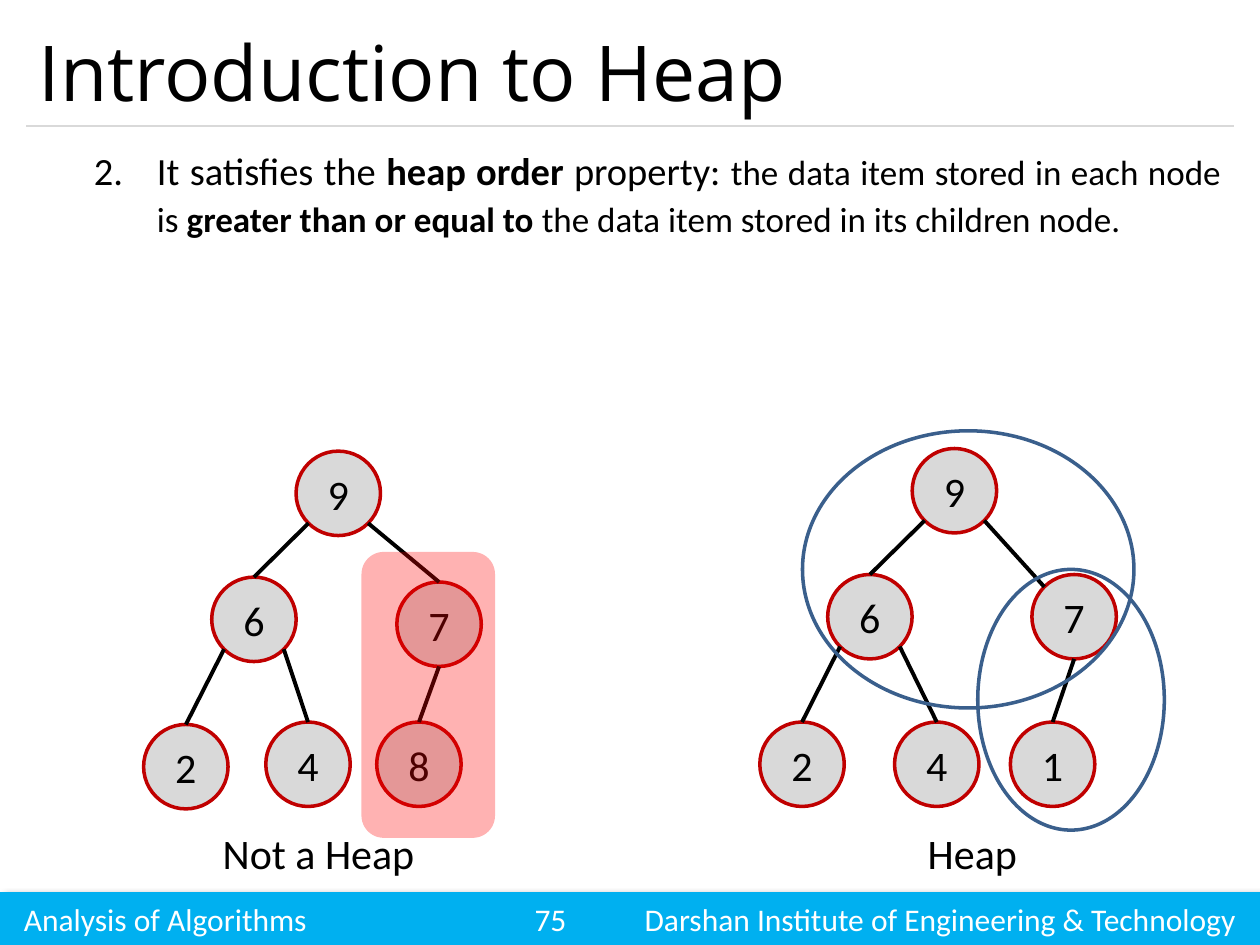
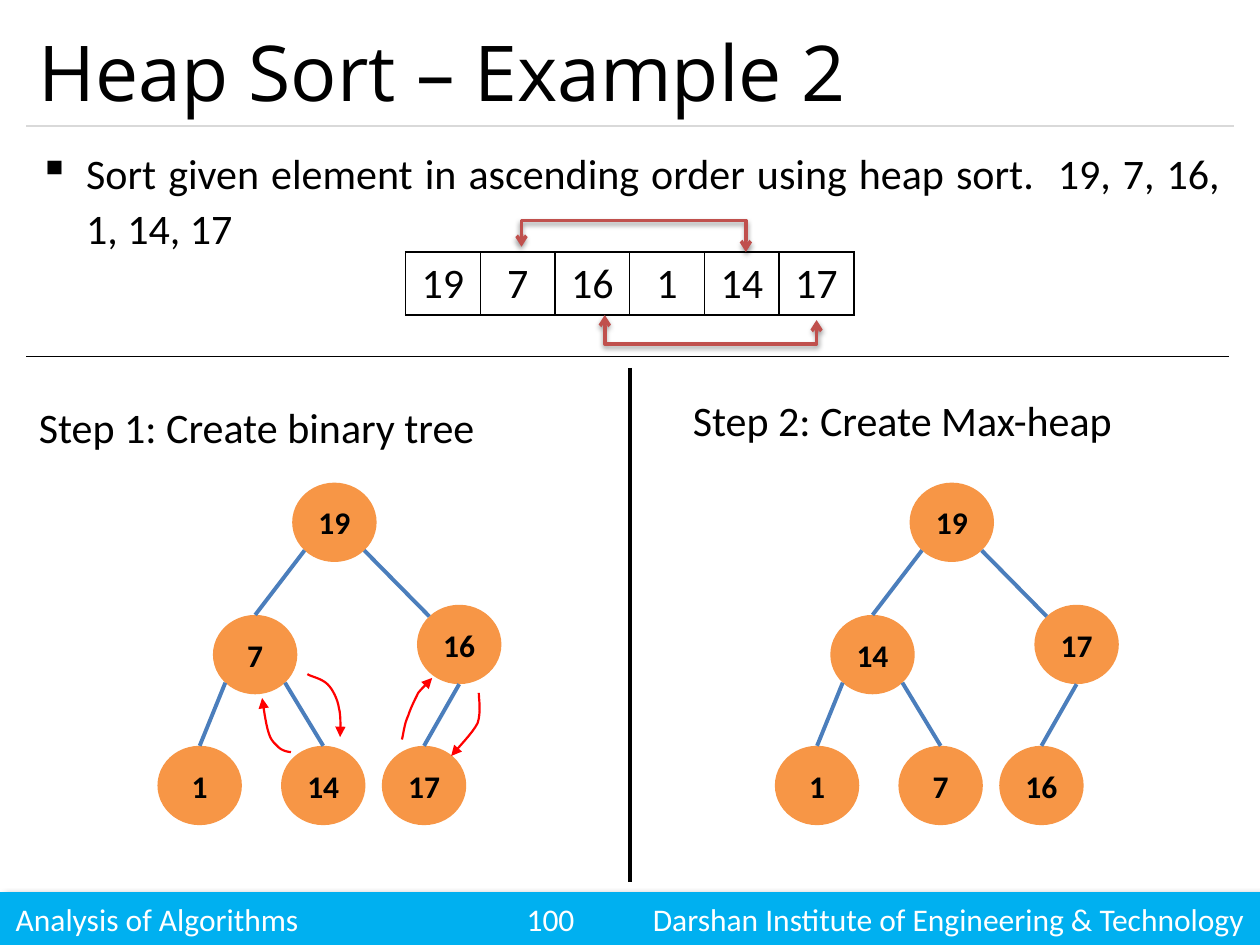
from lxml import etree
from pptx import Presentation
from pptx.dml.color import RGBColor
from pptx.enum.shapes import MSO_CONNECTOR, MSO_SHAPE
from pptx.enum.text import MSO_ANCHOR, PP_ALIGN
from pptx.oxml.ns import qn
from pptx.util import Pt

STRAIGHT = MSO_CONNECTOR.STRAIGHT
ELLIPSE, RECTANGLE, ROUNDED = MSO_SHAPE.OVAL, MSO_SHAPE.RECTANGLE, MSO_SHAPE.ROUNDED_RECTANGLE
LEFT, CENTER, JUSTIFY = PP_ALIGN.LEFT, PP_ALIGN.CENTER, PP_ALIGN.JUSTIFY
TOP, MIDDLE = MSO_ANCHOR.TOP, MSO_ANCHOR.MIDDLE

COLORS = {
    "text": "000000", "white": "FFFFFF", "band": "00B0F0", "rule": "D9D9D9",
    "heap_node": "D9D9D9", "heap_ring": "C00000", "subtree": "3A5F8C", "violation": "FF0000",
    "sort_node": "F79646", "sort_edge": "4B7EBC", "bracket": "C0504D", "swap": "FF0000",
}
BODY_FONT, TITLE_FONT = "Calibri", "Open Sans"
WIDTH, HEIGHT = 720, 540
MARGIN, CONTENT_WIDTH = 15.12, 689.76
PAGE_NUMBER_CENTER = 314.6

# Node size, fill, ring, edge colour, text size and weight of each kind of tree
HEAP_STYLE = {"size": (48.24, 48.24), "fill": "heap_node", "ring": "heap_ring",
              "edge": "text", "font_size": 24, "bold": False}
SORT_STYLE = {"size": (48.24, 45.36), "fill": "sort_node", "ring": None,
              "edge": "sort_edge", "font_size": 18, "bold": True}

# Left and top of the nodes, level by level
NOT_HEAP_PLACES = [(169.2, 257.8), (121, 329.8), (226.8, 332.6),
                   (82.1, 414), (151.9, 412.6), (215.3, 412.6)]
HEAP_PLACES = [(521.3, 256.3), (473, 328.3), (589.7, 328.3),
               (434.2, 412.6), (511.2, 412.6), (577.4, 412.6)]
SORT_PLACES = [(167, 275.8), (121.7, 351.4), (238.3, 345.6),
               (90, 426.2), (160.6, 426.2), (218.2, 426.2)]
SORT_TREE_SHIFT = 352.8

# Each curve: a start, then two control points and an end per segment
SWAP_CURVES = [
    [(166.3, 429.8), (164.9, 429.8), (161.3, 429.1), (159.1, 427), (157, 424.8),
     (154.8, 423.4), (153.4, 418.3), (151.9, 414), (150.5, 403.2), (149.8, 398.9)],
    [(175.7, 385.2), (177.1, 386.6), (183.6, 387.4), (187.2, 391), (190.1, 393.8),
     (193, 399.6), (193.7, 404.6), (195.1, 409.7), (194.4, 417.6), (194.4, 421.2)],
    [(229.7, 422.6), (230.4, 420.5), (231.1, 413.3), (233.3, 409), (234.7, 404.6),
     (236.9, 400.3), (239, 396), (241.9, 392.4), (245.5, 389.5), (247, 387.4)],
    [(273.6, 396), (273.6, 398.9), (275, 407.5), (272.9, 413.3), (270, 419),
     (261.4, 427.7), (257.8, 432)],
]
BRACKETS = [
    [(345.6, 180), (345.6, 196.6), (466.6, 196.6), (466.6, 182.9)],
    [(426.2, 144), (426.2, 126), (298, 126), (298, 141)],
]


def rgb(name):
    return RGBColor.from_string(COLORS[name])


def set_font(font, size, color="text", name=BODY_FONT, bold=False):
    font.name, font.size, font.bold = name, Pt(size), bold
    font.color.rgb = rgb(color)


def set_look(shape, fill=None, line=None, line_width=2):
    shape.shadow.inherit = False
    if fill:
        shape.fill.solid()
        shape.fill.fore_color.rgb = rgb(fill)
    else:
        shape.fill.background()
    if line:
        shape.line.color.rgb = rgb(line)
        shape.line.width = Pt(line_width)
    else:
        shape.line.fill.background()


def add_shadow(shape, alpha, blur, distance, angle):
    effects = shape._element.spPr.find(qn("a:effectLst"))
    shadow = etree.SubElement(effects, qn("a:outerShdw"), blurRad=str(Pt(blur)),
                              dist=str(Pt(distance)), dir=str(angle * 60000), rotWithShape="0")
    color = etree.SubElement(shadow, qn("a:srgbClr"), val="000000")
    etree.SubElement(color, qn("a:alpha"), val=str(alpha * 1000))


def add_figure(slide, kind, left, top, width, height, fill=None, line=None):
    shape = slide.shapes.add_shape(kind, Pt(left), Pt(top), Pt(width), Pt(height))
    set_look(shape, fill, line)
    return shape


def add_line(slide, start, end, color="text", width=2.25):
    line = slide.shapes.add_connector(STRAIGHT, Pt(start[0]), Pt(start[1]), Pt(end[0]), Pt(end[1]))
    line.line.color.rgb = rgb(color)
    line.line.width = Pt(width)
    etree.SubElement(line._element.spPr, qn("a:effectLst"))
    return line


def add_path(slide, points, color, width, head=None, tail=None):
    builder = slide.shapes.build_freeform(Pt(points[0][0]), Pt(points[0][1]))
    builder.add_line_segments([(Pt(x), Pt(y)) for x, y in points[1:]], close=False)
    shape = builder.convert_to_shape()
    set_look(shape, line=color, line_width=width)
    outline = shape._element.spPr.find(qn("a:ln"))
    for tag, arrow in (("a:headEnd", head), ("a:tailEnd", tail)):
        if arrow:
            etree.SubElement(outline, qn(tag), type=arrow)
    return shape


def curve_points(controls, steps=8):
    points = [controls[0]]
    for first in range(0, len(controls) - 1, 3):
        segment = controls[first:first + 4]
        for step in range(1, steps + 1):
            t = step / steps
            weights = ((1 - t) ** 3, 3 * t * (1 - t) ** 2, 3 * t * t * (1 - t), t ** 3)
            points.append(tuple(sum(w * point[axis] for w, point in zip(weights, segment))
                                for axis in (0, 1)))
    return points


def add_text(slide, text, left, top, width, height, size=24, font=BODY_FONT,
             align=LEFT, anchor=TOP):
    frame = slide.shapes.add_textbox(Pt(left), Pt(top), Pt(width), Pt(height)).text_frame
    frame.word_wrap = True
    frame.vertical_anchor = anchor
    paragraph = frame.paragraphs[0]
    paragraph.text = text
    paragraph.alignment = align
    set_font(paragraph.font, size, name=font)
    return paragraph


def add_body(slide, runs, size, margin, hanging, bullet_tag, **bullet):
    """Add one justified list item; runs holds (text, size, bold)."""
    paragraph = add_text(slide, "", MARGIN, 77.8, CONTENT_WIDTH, 80, size, align=JUSTIFY)
    properties = paragraph._p.get_or_add_pPr()
    properties.set("marL", str(Pt(margin)))
    properties.set("indent", str(Pt(-hanging)))
    paragraph.line_spacing = 1.1
    paragraph.space_after = Pt(6)
    marker = etree.Element(qn(bullet_tag), **bullet)
    properties.insert_element_before(marker, "a:tabLst", "a:defRPr", "a:extLst")
    for text, run_size, bold in runs:
        run = paragraph.add_run()
        run.text = text
        set_font(run.font, run_size, bold=bold)


def add_frame(presentation, title, page_number, footer_inset):
    """Add a slide with the shared footer band, rule and title."""
    slide = presentation.slides.add_slide(presentation.slide_layouts[6])
    band = add_figure(slide, RECTANGLE, 0, 509.8, WIDTH, 30.2, fill="band")
    add_shadow(band, 40, 4, 3, 45)
    frame = band.text_frame
    frame.margin_left, frame.margin_right = Pt(footer_inset), 0
    frame.vertical_anchor = MIDDLE
    paragraph = frame.paragraphs[0]
    paragraph.text = (f"Analysis of Algorithms\t{page_number}\t"
                      "Darshan Institute of Engineering & Technology")
    paragraph.alignment = LEFT
    tabs = etree.SubElement(paragraph._p.get_or_add_pPr(), qn("a:tabLst"))
    for position, align in ((PAGE_NUMBER_CENTER - footer_inset, "ctr"),
                            (WIDTH - 2 * footer_inset, "r")):
        etree.SubElement(tabs, qn("a:tab"), pos=str(Pt(position)), algn=align)
    set_font(paragraph.font, 18, "white")
    add_line(slide, (MARGIN, 72), (MARGIN + CONTENT_WIDTH, 72), "rule", 0.75)
    add_text(slide, title, MARGIN, 8.6, CONTENT_WIDTH, 63.4, 44, TITLE_FONT, anchor=MIDDLE)
    return slide


def add_tree(slide, labels, places, style, right_child_from_side=True):
    """Draw a binary tree given level by level: node i hangs from node (i - 1) // 2."""
    width, height = style["size"]

    def rim(index, across, down):
        left, top = places[index]
        return left + width * (1 + across) / 2, top + height * (1 + down) / 2

    nodes = []
    for label, (left, top) in zip(labels, places):
        node = add_figure(slide, ELLIPSE, left, top, width, height, style["fill"], style["ring"])
        frame = node.text_frame
        frame.margin_left = frame.margin_right = 0
        frame.vertical_anchor = MIDDLE
        paragraph = frame.paragraphs[0]
        paragraph.text = str(label)
        paragraph.alignment = CENTER
        set_font(paragraph.font, style["font_size"], bold=style["bold"])
        nodes.append(node)

    diagonal = 0.5 ** 0.5
    for child in range(1, len(nodes)):
        only_child = child % 2 and child == len(nodes) - 1
        if only_child:
            start = rim((child - 1) // 2, 0, 1)
        else:
            start = rim((child - 1) // 2, -diagonal if child % 2 else diagonal, diagonal)
        if child == 2 and right_child_from_side:
            add_line(slide, start, rim(child, -diagonal, -diagonal), style["edge"])
        else:
            edge = add_line(slide, start, rim(child, 0, -1), style["edge"])
            edge.end_connect(nodes[child], 0)


def add_array(slide, values, left, top, cell_width, height):
    table = slide.shapes.add_table(1, len(values), Pt(left), Pt(top),
                                   Pt(cell_width * len(values)), Pt(height)).table
    table.first_row = table.horz_banding = False
    for column, value in enumerate(values):
        table.columns[column].width = Pt(cell_width)
        cell = table.cell(0, column)
        paragraph = cell.text_frame.paragraphs[0]
        paragraph.text = str(value)
        paragraph.alignment = CENTER
        set_font(paragraph.font, 24)
        properties = cell._tc.get_or_add_tcPr()
        for side in ("a:lnL", "a:lnR", "a:lnT", "a:lnB"):
            border = etree.SubElement(properties, qn(side), w=str(Pt(1)))
            fill = etree.SubElement(border, qn("a:solidFill"))
            etree.SubElement(fill, qn("a:srgbClr"), val=COLORS["text"])
        cell.fill.background()


def build_heap_intro(presentation):
    slide = add_frame(presentation, "Introduction to Heap", 75, 13.7)
    add_body(slide, [
        ("It satisfies the ", 22, False), ("heap order ", 22, True), ("property: ", 22, False),
        ("the data item stored in each node is ", 20, False),
        ("greater than or equal to ", 20, True),
        ("the data item stored in its children node.", 20, False),
    ], 22, 67.5, 36, "a:buAutoNum", type="arabicPeriod", startAt="2")

    # The two trees and their captions
    add_tree(slide, [9, 6, 7, 2, 4, 8], NOT_HEAP_PLACES, HEAP_STYLE, right_child_from_side=False)
    add_text(slide, "Not a Heap", 120.2, 469.4, 134.6, 36)
    add_tree(slide, [9, 6, 7, 2, 4, 1], HEAP_PLACES, HEAP_STYLE)
    add_text(slide, "Heap", 520, 469.4, 71.3, 36, align=CENTER)

    # Broken heap order on the left, valid subtrees on the right
    violation = add_figure(slide, ROUNDED, 206.6, 315.4, 76.3, 163.4, fill="violation")
    color = violation._element.spPr.find(qn("a:solidFill")).find(qn("a:srgbClr"))
    etree.SubElement(color, qn("a:alpha"), val="30000")
    add_figure(slide, ELLIPSE, 458.6, 246.2, 189.4, 158.4, line="subtree")
    add_figure(slide, ELLIPSE, 558.7, 325.4, 106.6, 149, line="subtree")


def build_heap_sort(presentation):
    slide = add_frame(presentation, "Heap Sort – Example 2", 100, 9)
    add_body(slide, [("Sort given element in ascending order using heap sort.  "
                      "19, 7, 16, 1, 14, 17", 24, False)],
             24, 27, 27, "a:buChar", char="▪")

    # Array with the exchanged pairs
    add_array(slide, [19, 7, 16, 1, 14, 17], 231.8, 144, 42.7, 36)
    for points in BRACKETS:
        bracket = add_path(slide, points, "bracket", 2, head="arrow", tail="arrow")
        add_shadow(bracket, 38, 3.1, 1.6, 90)

    # Dividers and step headings
    add_line(slide, (MARGIN, 203.8), (702, 203.8), width=0.75)
    add_line(slide, (360, 210.2), (360, 504))
    add_text(slide, "Step 1: Create binary tree", MARGIN, 225.7, 320, 36)
    add_text(slide, "Step 2: Create Max-heap", 388.8, 221.8, 275.8, 36)

    # Tree before and after the swaps
    add_tree(slide, [19, 7, 16, 1, 14, 17], SORT_PLACES, SORT_STYLE)
    for controls in SWAP_CURVES:
        add_path(slide, curve_points(controls), "swap", 1.25, tail="triangle")
    shifted = [(left + SORT_TREE_SHIFT, top) for left, top in SORT_PLACES]
    add_tree(slide, [19, 14, 17, 1, 7, 16], shifted, SORT_STYLE)


def main():
    presentation = Presentation()
    presentation.slide_width, presentation.slide_height = Pt(WIDTH), Pt(HEIGHT)
    build_heap_intro(presentation)
    build_heap_sort(presentation)
    presentation.save("out.pptx")


if __name__ == "__main__":
    main()
